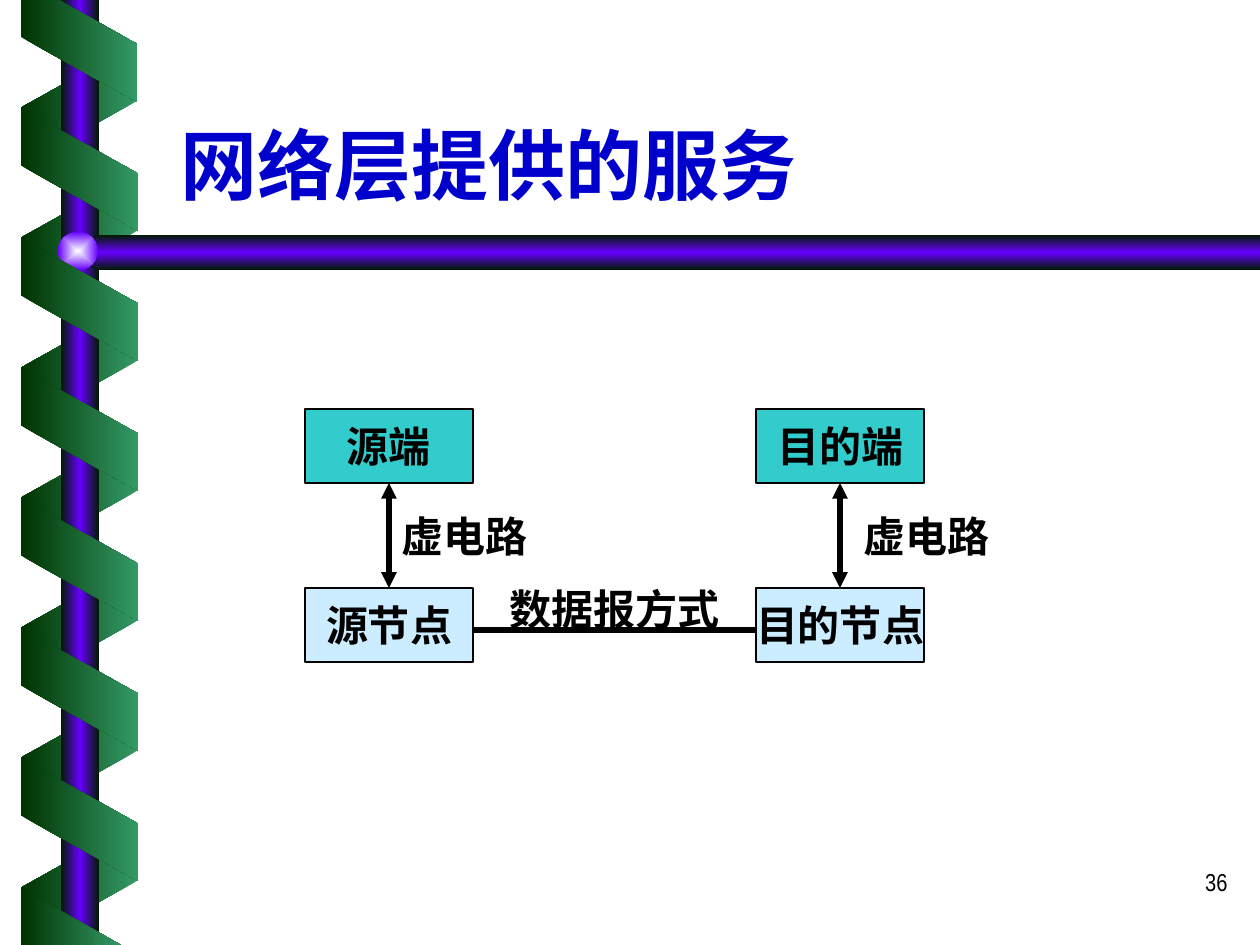
from dataclasses import dataclass

from pptx import Presentation
from pptx.dml.color import RGBColor
from pptx.enum.shapes import MSO_CONNECTOR, MSO_SHAPE
from pptx.enum.text import MSO_ANCHOR, PP_ALIGN
from pptx.oxml import parse_xml
from pptx.oxml.ns import nsdecls, qn
from pptx.util import Emu, Pt

RECT, OVAL, SLANT = MSO_SHAPE.RECTANGLE, MSO_SHAPE.OVAL, MSO_SHAPE.PARALLELOGRAM
STRAIGHT = MSO_CONNECTOR.STRAIGHT
TOP, MIDDLE, BOTTOM = MSO_ANCHOR.TOP, MSO_ANCHOR.MIDDLE, MSO_ANCHOR.BOTTOM
LEFT, CENTER, RIGHT = PP_ALIGN.LEFT, PP_ALIGN.CENTER, PP_ALIGN.RIGHT
SCALE = 914400 / 126
SERIF, NARROW = "Times New Roman", "Arial Narrow"
BLACK = "000000"
RIBBON = ["003300", "339966"]
ROD = ["001A00", "6600FF", "001A00"]
TURN = 130


@dataclass(frozen=True)
class Label:
    """A piece of text with its frame and style."""
    text: str
    x: int
    y: int
    w: int
    h: int
    size: int = 24
    font: str = SERIF
    color: str = BLACK
    bold: bool = True
    align: PP_ALIGN = LEFT
    anchor: MSO_ANCHOR = TOP


@dataclass(frozen=True)
class Column:
    """One end of the network: a host above its node."""
    x: int
    host: str
    node: str


COLUMNS = [Column(305, "源端", "源节点"), Column(756, "目的端", "目的节点")]
LABELS = [
    Label("36", 978, 861, 262, 63, 14, NARROW, bold=False, align=RIGHT),
    Label("网络层提供的服务", 168, 58, 1071, 158, 44, NARROW, "0000CC", anchor=BOTTOM),
    Label("数据报方式", 473, 577, 283, 63, align=CENTER),
    Label("虚电路", 389, 504, 179, 63),
    Label("虚电路", 851, 504, 179, 63),
]


def px(n: int) -> Emu:
    """Turn pixels into EMU."""
    return Emu(round(n * SCALE))


def rgb(color: str) -> RGBColor:
    """Turn a hex string into a colour."""
    return RGBColor.from_string(color)


def add_preset(s, kind, x: int, y: int, w: int, h: int):
    """Add a preset shape without shadow or outline."""
    sp = s.shapes.add_shape(kind, px(x), px(y), px(w), px(h))
    sp.shadow.inherit = False
    sp.line.fill.background()
    return sp


def fill_gradient(sp, colors: list[str], angle: int = 0, radial: bool = False) -> None:
    """Fill a shape with evenly spaced gradient stops."""
    last = len(colors) - 1
    stops = "".join(
        f'<a:gs pos="{100000 * i // last}"><a:srgbClr val="{c}"/></a:gs>'
        for i, c in enumerate(colors))
    shade = f'<a:lin ang="{angle * 60000}" scaled="0"/>'
    if radial:
        shade = ('<a:path path="rect"><a:fillToRect l="50000" t="50000" '
                 'r="50000" b="50000"/></a:path>')
    sp.fill.gradient()
    props = sp._element.spPr
    props.replace(props.find(qn("a:gradFill")), parse_xml(
        f'<a:gradFill {nsdecls("a")} rotWithShape="0">'
        f"<a:gsLst>{stops}</a:gsLst>{shade}</a:gradFill>"))


def add_ribbons(s, count: int, top: int, height: int, front: bool) -> None:
    """Add one side of the ribbon that winds round the rod."""
    for i in range(count):
        sp = add_preset(s, SLANT, 18, top + i * TURN, 123, height)
        sp.adjustments[0] = 0.56
        sp.rotation = 270 if front else 90
        if not front:
            sp._element.spPr.xfrm.set("flipH", "1")
        fill_gradient(sp, RIBBON if front else RIBBON[::-1])


def add_outline(s, points: list[tuple[int, int]], colors: list[str], angle: int) -> None:
    """Add a closed polygon with a gradient."""
    builder = s.shapes.build_freeform(*points[0], scale=SCALE)
    builder.add_line_segments(points[1:], close=True)
    sp = builder.convert_to_shape()
    sp.shadow.inherit = False
    sp.line.fill.background()
    fill_gradient(sp, colors, angle)


def write(sp, label: Label, wrap: bool = True) -> None:
    """Write a label into a shape."""
    tf = sp.text_frame
    tf.word_wrap = wrap
    tf.vertical_anchor = label.anchor
    p = tf.paragraphs[0]
    p.alignment = label.align
    r = p.add_run()
    r.text = label.text
    r.font.size = Pt(label.size)
    r.font.name = label.font
    r.font.bold = label.bold
    r.font.color.rgb = rgb(label.color)


def add_label(s, label: Label) -> None:
    """Add a text box."""
    box = s.shapes.add_textbox(px(label.x), px(label.y), px(label.w), px(label.h))
    write(box, label)


def add_box(s, text: str, x: int, y: int, color: str):
    """Add an outlined box with centred text."""
    label = Label(text, x, y, 168, 74, align=CENTER, anchor=MIDDLE)
    sp = add_preset(s, RECT, x, y, label.w, label.h)
    sp.fill.solid()
    sp.fill.fore_color.rgb = rgb(color)
    sp.line.color.rgb = rgb(BLACK)
    sp.line.width = Pt(0.75)
    write(sp, label, wrap=False)
    return sp


def add_link(s, x1: int, y1: int, x2: int, y2: int):
    """Add a thick black line."""
    c = s.shapes.add_connector(STRAIGHT, px(x1), px(y1), px(x2), px(y2))
    c.line.color.rgb = rgb(BLACK)
    c.line.width = Pt(3)
    c._element.spPr.append(parse_xml(f'<a:effectLst {nsdecls("a")}/>'))
    return c


def add_column(s, column: Column) -> None:
    """Add a host and its node, joined by a two-way arrow."""
    host = add_box(s, column.host, column.x, 409, "33CCCC")
    node = add_box(s, column.node, column.x, 588, "CCECFF")
    mid = column.x + 84
    c = add_link(s, mid, 483, mid, 588)
    c.begin_connect(host, 2)
    c.end_connect(node, 0)
    line = c.line._get_or_add_ln()
    for end in ("headEnd", "tailEnd"):
        line.append(parse_xml(f'<a:{end} {nsdecls("a")} type="triangle"/>'))


def add_decoration(s) -> None:
    """Add the rods, the knob and the winding ribbon."""
    add_ribbons(s, 7, 46, 116, front=False)
    fill_gradient(add_preset(s, RECT, 61, 0, 38, 945), ROD)
    add_outline(s, [(1260, 235), (96, 235), (76, 252), (96, 270), (1260, 270)], ROD, 90)
    knob = add_preset(s, OVAL, 58, 232, 40, 38)
    fill_gradient(knob, ["FEFFFF", "6600FF"], radial=True)
    add_ribbons(s, 6, 111, 117, front=True)
    add_outline(s, [(21, 0), (21, 37), (137, 102), (137, 44), (59, 0)], RIBBON, 0)
    add_outline(s, [(121, 945), (21, 888), (21, 945)], RIBBON, 0)


def main() -> None:
    """Build the slide and save it."""
    prs = Presentation()
    prs.slide_width, prs.slide_height = px(1260), px(945)
    s = prs.slides.add_slide(prs.slide_layouts[6])
    add_decoration(s)
    for column in COLUMNS:
        add_column(s, column)
    add_link(s, 473, 630, 756, 630)
    for label in LABELS:
        add_label(s, label)
    prs.save("out.pptx")


if __name__ == "__main__":
    main()
